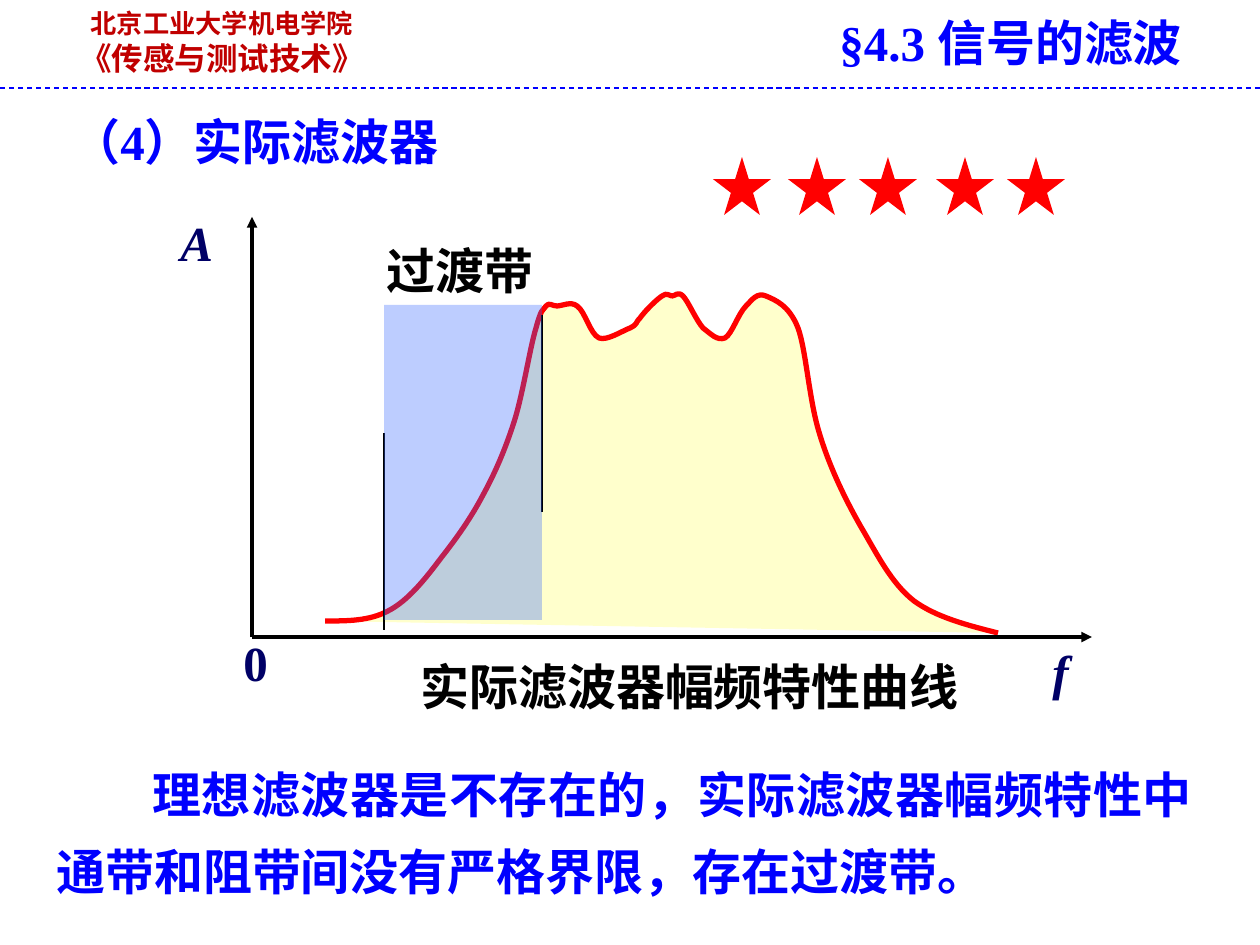
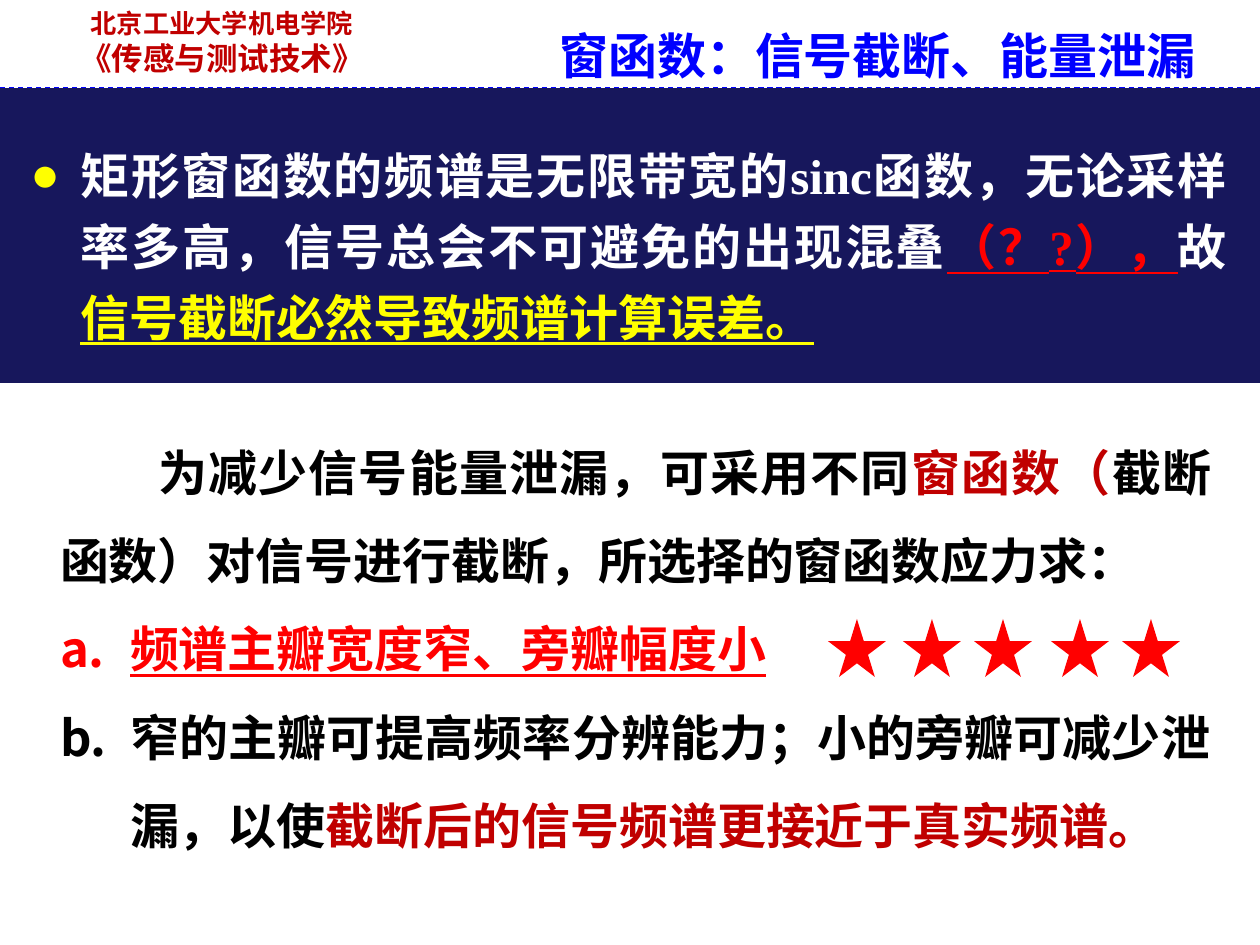
import pptx
import pptx.dml.color
import pptx.enum.dml
import pptx.enum.shapes
import pptx.enum.text
import pptx.oxml.ns
import pptx.util
import lxml.etree

PX = 914400 / 126
CJK, TIMES = "Noto Sans CJK SC", "Times New Roman"
BLUE, RED, DARK_RED, NAVY = "0000FF", "FF0000", "C00000", "17175C"
BLACK, WHITE, YELLOW, LABEL = "000000", "FFFFFF", "FFFF00", "000066"
SHAPE = pptx.enum.shapes.MSO_SHAPE
ALIGN = pptx.enum.text.PP_ALIGN

# Content shared by the slides: boxes are left, top, width, height in px
HEADER_BOX = (64, 1, 316, 83)
HEADER = [("北京工业大学机电学院", 15), ("《传感与测试技术》", 18)]
RULE_Y, PAGE_W, PAGE_H = 88, 1260, 945
STAR_SIZE, STAR_OFFSETS = 58, (0, 75, 146, 223, 294)

# Slide 1: filter curve
FILTER_TITLE = ("§4.3 信号的滤波", (827, 6, 433, 72))
FILTER_HEADING = ("（4）实际滤波器", (59, 105, 485, 72))
FILTER_NOTE = ("理想滤波器是不存在的，实际滤波器幅频特性中通带和阻带间没有严格界限，存在过渡带。",
               (44, 741, 1161, 159))
CAPTIONS = [("实际滤波器幅频特性曲线", (408, 662, 572, 60)),
            ("过渡带", (374, 246, 176, 60))]
AXIS_LABELS = [("0", (231, 626, 63, 72), False),
               ("f", (1040, 635, 63, 72), True),
               ("A", (168, 206, 84, 72), True)]
ORIGIN, AXIS_ENDS = (252, 637), [(252, 217), (1092, 637)]
BAND = (384, 305, 158, 315)
BAND_EDGES = [(542, 315), (384, 433)]
EDGE_LENGTH = 197
FILTER_STARS = (713, 157)
CURVE_START = (325, 621)
CURVE = [  # two control points and an end point for each bend
    ((348, 621), (369, 621), (388, 611)), ((408, 601), (426, 578), (441, 558)),
    ((456, 539), (471, 518), (483, 495)), ((495, 473), (505, 450), (514, 422)),
    ((523, 394), (530, 347), (536, 328)), ((541, 309), (543, 310), (546, 306)),
    ((549, 302), (552, 306), (557, 306)), ((562, 306), (571, 301), (577, 306)),
    ((585, 311), (590, 334), (599, 338)), ((607, 341), (622, 331), (630, 328)),
    ((638, 324), (635, 323), (640, 318)), ((645, 311), (656, 300), (662, 296)),
    ((667, 292), (669, 296), (672, 296)), ((675, 296), (678, 291), (683, 296)),
    ((688, 301), (696, 320), (703, 328)), ((711, 334), (717, 341), (725, 338)),
    ((732, 334), (738, 314), (746, 306)), ((752, 300), (757, 292), (766, 296)),
    ((775, 300), (789, 305), (798, 328)), ((806, 350), (809, 399), (819, 432)),
    ((829, 466), (845, 499), (861, 527)), ((877, 554), (891, 583), (914, 601)),
    ((936, 617), (966, 625), (998, 633)),
]

# Slide 2: window functions, spans are text, colour, underline
WINDOW_TITLE = ("窗函数：信号截断、能量泄漏", (547, 19, 718, 60))
PANEL = (0, 88, 1260, 295)
PANEL_BOX = (18, 128, 1221, 227)
PANEL_SPANS = [
    ("矩形窗函数的频谱是无限带宽的sinc函数，无论采样率多高，信号总会不可避免的出现混叠", WHITE, False),
    ("（？?），", RED, True), ("故", WHITE, False),
    ("信号截断必然导致频谱计算误差。", YELLOW, True)]
ADVICE_BOX = (60, 413, 1151, 469)
ADVICE = [("为减少信号能量泄漏，可采用不同", BLACK, False), ("窗函数（", DARK_RED, False),
          ("截断函数）对信号进行截断，所选择的窗函数应力求：", BLACK, False)]
AIMS = [
    [("频谱主瓣宽度窄、旁瓣幅度小", RED, True)],
    [("窄的主瓣可提高频率分辨能力；小的旁瓣可减少泄漏，以使", BLACK, False),
     ("截断后的信号频谱更接近于真实频谱。", DARK_RED, False)]]
WINDOW_STARS = (828, 619)


def emu(*lengths):
    return [round(length * PX) for length in lengths]


def color(value):
    return pptx.dml.color.RGBColor.from_string(value)


def child(parent, tag, **attributes):
    return lxml.etree.SubElement(parent, pptx.oxml.ns.qn(tag), attributes)


def add_box(page, box, inset=True):
    frame = page.shapes.add_textbox(*emu(*box)).text_frame
    frame.word_wrap = True
    frame.auto_size = pptx.enum.text.MSO_AUTO_SIZE.SHAPE_TO_FIT_TEXT
    if not inset:
        frame.margin_left = frame.margin_right = frame.margin_top = frame.margin_bottom = 0
    return frame


def add_para(frame, text, size=28, fill=BLACK, font=TIMES, italic=False, align=None,
             spacing=None, left=0, first=0, bullet=None, bullet_fill=None):
    """Write a string, or a list of (text, colour, underline) spans, as one paragraph."""
    para = frame.paragraphs[0]
    if para.runs:
        para = frame.add_paragraph()
    para.alignment, para.line_spacing = align, spacing
    props = para._p.get_or_add_pPr()
    if left or first:
        props.set("marL", str(emu(left)[0]))
        props.set("indent", str(emu(first)[0]))
    if bullet_fill:
        child(child(props, "a:buClr"), "a:srgbClr", val=bullet_fill)
    if bullet == "a.":
        child(props, "a:buFont", typeface=CJK)
        child(props, "a:buAutoNum", type="alphaLcPeriod")
    elif bullet:
        child(props, "a:buFont", typeface=TIMES)
        child(props, "a:buChar", char=bullet)
    for words, span_fill, underline in [(text, fill, False)] if isinstance(text, str) else text:
        span = para.add_run()
        span.text = words
        span.font.name, span.font.size = font, pptx.util.Pt(size)
        span.font.bold, span.font.italic, span.font.underline = True, italic, underline
        span.font.color.rgb = color(span_fill)
        child(span._r.get_or_add_rPr(), "a:ea", typeface=CJK)


def add_text(page, text, box, **style):
    add_para(add_box(page, box), text, **style)


def add_fill(page, kind, box, fill, alpha=None):
    shape = page.shapes.add_shape(kind, *emu(*box))
    shape.shadow.inherit = False
    shape.fill.solid()
    shape.fill.fore_color.rgb = color(fill)
    shape.line.fill.background()
    if alpha:
        tone = shape._element.spPr.find(".//" + pptx.oxml.ns.qn("a:srgbClr"))
        child(tone, "a:alpha", val=str(alpha * 1000))


def add_line(page, start, end, fill=BLACK, width=0.75, dash=None, arrow=False):
    line = page.shapes.add_connector(
        pptx.enum.shapes.MSO_CONNECTOR.STRAIGHT, *emu(*start, *end))
    line.line.color.rgb = color(fill)
    line.line.width = pptx.util.Pt(width)
    if dash:
        line.line.dash_style = dash
    if arrow:
        child(line.line._get_or_add_ln(), "a:tailEnd", type="triangle")
    child(line._element.spPr, "a:effectLst")


def add_stars(page, left, top):
    for offset in STAR_OFFSETS:
        add_fill(page, SHAPE.STAR_5_POINT, (left + offset, top, STAR_SIZE, STAR_SIZE), RED)


def add_curve(page):
    builder = page.shapes.build_freeform(*emu(*CURVE_START))
    builder.add_line_segments([emu(*bend[-1]) for bend in CURVE], close=False)
    curve = builder.convert_to_shape()
    # Turn each straight segment into a cubic bend
    segments = list(curve._element.iter(pptx.oxml.ns.qn("a:lnTo")))
    for segment, bend in zip(segments, CURVE):
        segment.tag = pptx.oxml.ns.qn("a:cubicBezTo")
        segment.remove(segment[0])
        for point in bend:
            x, y = emu(*point)
            child(segment, "a:pt", x=str(x - curve.left), y=str(y - curve.top))
    curve.shadow.inherit = False
    curve.fill.solid()
    curve.fill.fore_color.rgb = color("FFFFCC")
    curve.line.color.rgb = color(RED)
    curve.line.width = pptx.util.Pt(3)


def add_page(deck):
    """Start a blank page with the course header and dashed rule."""
    page = deck.slides.add_slide(deck.slide_layouts[6])
    frame = add_box(page, HEADER_BOX)
    for text, size in HEADER:
        add_para(frame, text, size=size, fill=DARK_RED, font=CJK, align=ALIGN.CENTER)
    add_line(page, (0, RULE_Y), (PAGE_W, RULE_Y), fill=BLUE,
             dash=pptx.enum.dml.MSO_LINE.DASH)
    return page


def build_filter_page(deck):
    page = add_page(deck)
    for text, box in (FILTER_TITLE, FILTER_HEADING):
        add_text(page, text, box, fill=BLUE)
    add_text(page, *FILTER_NOTE, fill=BLUE, align=ALIGN.JUSTIFY, spacing=1.3, first=96)
    # Curve, axes and transition band
    add_curve(page)
    for end in AXIS_ENDS:
        add_line(page, ORIGIN, end, width=2, arrow=True)
    for text, box, italic in AXIS_LABELS:
        add_text(page, text, box, fill=LABEL, italic=italic)
    for x, y in BAND_EDGES:
        add_line(page, (x, y), (x, y + EDGE_LENGTH))
    add_fill(page, SHAPE.RECTANGLE, BAND, "3366FF", alpha=32)
    for text, box in CAPTIONS:
        add_text(page, text, box, spacing=0.8)
    add_stars(page, *FILTER_STARS)


def build_window_page(deck):
    page = add_page(deck)
    # Advice with lettered aims
    frame = add_box(page, ADVICE_BOX, inset=False)
    add_para(frame, ADVICE, align=ALIGN.JUSTIFY, spacing=1.5, first=98)
    for spans in AIMS:
        add_para(frame, spans, align=ALIGN.JUSTIFY, spacing=1.5, left=70, first=-70, bullet="a.")
    # Dark panel
    add_fill(page, SHAPE.RECTANGLE, PANEL, NAVY)
    add_text(page, PANEL_SPANS, PANEL_BOX, align=ALIGN.JUSTIFY, spacing=1.2,
             left=50, first=-50, bullet="●", bullet_fill=YELLOW)
    add_text(page, *WINDOW_TITLE, fill=BLUE)
    add_stars(page, *WINDOW_STARS)


def main():
    deck = pptx.Presentation()
    deck.slide_width, deck.slide_height = emu(PAGE_W, PAGE_H)
    build_filter_page(deck)
    build_window_page(deck)
    deck.save("out.pptx")


if __name__ == "__main__":
    main()
